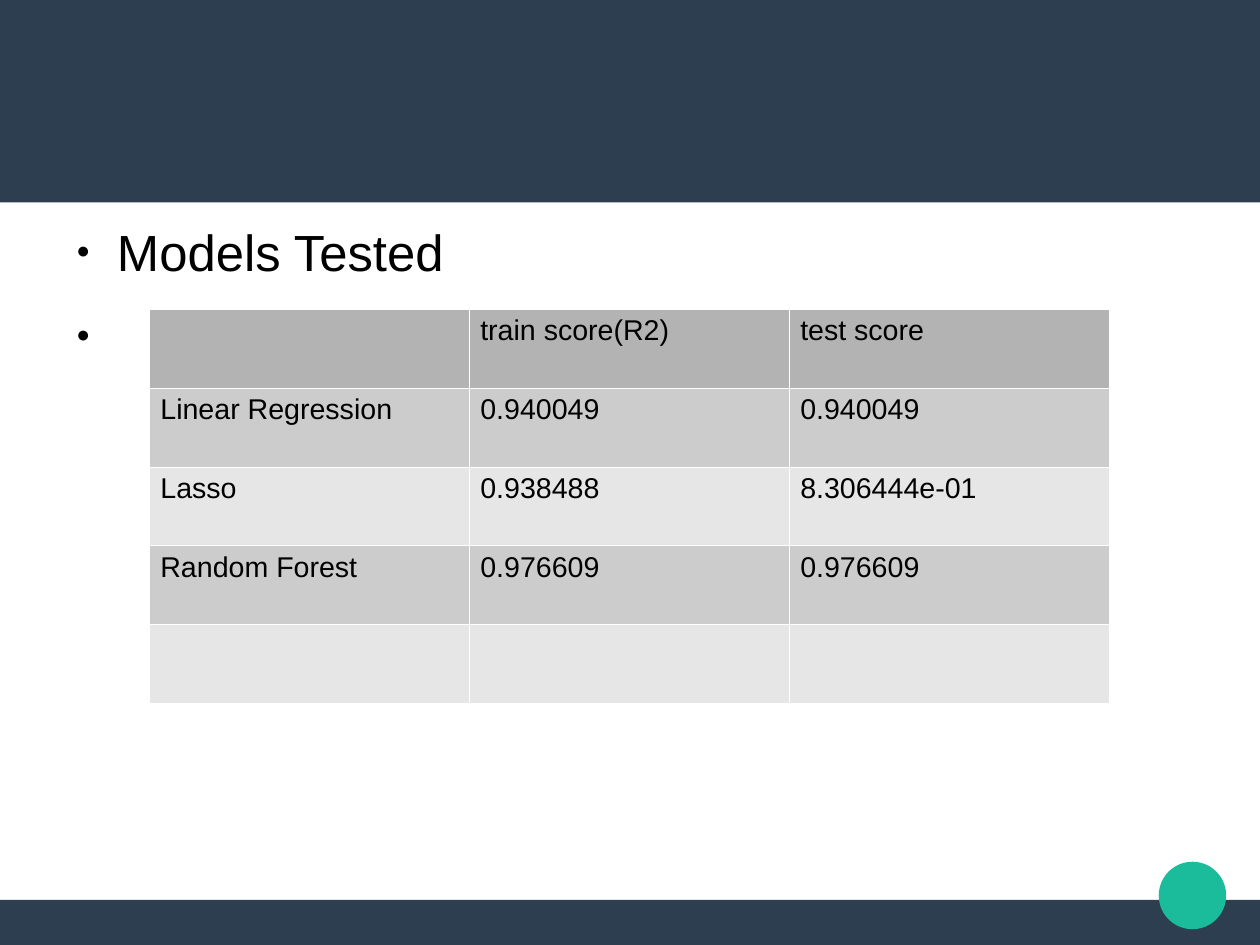
from typing import NamedTuple

from lxml.etree import SubElement
from pptx import Presentation
from pptx.dml.color import RGBColor
from pptx.enum.shapes import MSO_SHAPE as Preset
from pptx.enum.text import PP_ALIGN as Align
from pptx.oxml.ns import qn
from pptx.slide import Slide
from pptx.util import Cm, Pt

COLORS = {
    "navy": "2C3E50",
    "teal": "1ABC9C",
    "text": "000000",
    "border": "FFFFFF",
    "header": "B3B3B3",
    "odd": "CCCCCC",
    "even": "E6E6E6",
}
HEADING_SIZE, CELL_SIZE = 32, 18
COLUMN_WIDTH, ROW_HEIGHT = 7.11, 1.75
SCORES = [
    ("", "train score(R2)", "test score"),
    ("Linear Regression", "0.940049", "0.940049"),
    ("Lasso", "0.938488", "8.306444e-01"),
    ("Random Forest", "0.976609", "0.976609"),
    ("", "", ""),
]


class Decoration(NamedTuple):
    preset: Preset
    left: float
    top: float
    width: float
    height: float
    color: str


DECORATIONS = [
    Decoration(Preset.RECTANGLE, 0, 20, 28, 1, "navy"),
    Decoration(Preset.RECTANGLE, 0, 0, 28, 4.5, "navy"),
    Decoration(Preset.OVAL, 25.75, 19.15, 1.5, 1.5, "teal"),
]


def rgb(name: str) -> RGBColor:
    return RGBColor.from_string(COLORS[name])


def format_font(font, size: int) -> None:
    for attribute, value in {"name": "Arial", "size": Pt(size)}.items():
        setattr(font, attribute, value)
    font.color.rgb = rgb("text")


def draw_decoration(slide: Slide, part: Decoration) -> None:
    box = map(Cm, (part.left, part.top, part.width, part.height))
    shape = slide.shapes.add_shape(part.preset, *box)
    shape.shadow.inherit = False
    shape.fill.solid()
    shape.fill.fore_color.rgb = rgb(part.color)
    shape.line.fill.background()


def add_bullet(paragraph) -> None:
    """Give the paragraph a hanging indent and a small round bullet."""
    properties = paragraph._p.get_or_add_pPr()
    properties.set("marL", str(Cm(1.2)))
    properties.set("indent", str(-Cm(0.9)))
    bullet_color = SubElement(properties, qn("a:buClr"))
    SubElement(bullet_color, qn("a:srgbClr"), val=COLORS["text"])
    SubElement(properties, qn("a:buSzPct"), val="45000")
    SubElement(properties, qn("a:buFont"), typeface="Arial")
    SubElement(properties, qn("a:buChar"), char="●")


def draw_outline(slide: Slide, items: list[str]) -> None:
    outline = slide.shapes.add_textbox(Cm(1.4), Cm(4.9), Cm(25.2), Cm(12.18))
    frame = outline.text_frame
    frame.word_wrap = True
    for side in ("left", "top", "right", "bottom"):
        setattr(frame, f"margin_{side}", 0)
    frame.text = "\n".join(items)
    for paragraph in frame.paragraphs:
        paragraph.alignment = Align.LEFT
        paragraph.space_before = Pt(14.2)
        add_bullet(paragraph)
        format_font(paragraph.runs[0].font, HEADING_SIZE)


def add_borders(cell) -> None:
    properties = cell._tc.get_or_add_tcPr()
    for side in ("lnL", "lnR", "lnT", "lnB"):
        border = SubElement(properties, qn(f"a:{side}"), w=str(Pt(0.06)))
        fill = SubElement(border, qn("a:solidFill"))
        SubElement(fill, qn("a:srgbClr"), val=COLORS["border"])


def row_color(row: int) -> str:
    if row == 0:
        return "header"
    return "odd" if row % 2 else "even"


def draw_scores(slide: Slide) -> None:
    rows, columns = len(SCORES), len(SCORES[0])
    table = slide.shapes.add_table(
        rows, columns, Cm(3.31), Cm(6.87),
        Cm(columns * COLUMN_WIDTH), Cm(rows * ROW_HEIGHT),
    ).table
    table.first_row = table.horz_banding = False
    for row, values in enumerate(SCORES):
        for column, value in enumerate(values):
            cell = table.cell(row, column)
            cell.text = value
            format_font(cell.text_frame.paragraphs[0].font, CELL_SIZE)
            for run in cell.text_frame.paragraphs[0].runs:
                format_font(run.font, CELL_SIZE)
            add_borders(cell)
            cell.fill.solid()
            cell.fill.fore_color.rgb = rgb(row_color(row))


def main() -> None:
    deck = Presentation()
    deck.slide_width, deck.slide_height = Cm(28), Cm(21)
    slide = deck.slides.add_slide(deck.slide_layouts[6])
    for part in DECORATIONS:
        draw_decoration(slide, part)
    draw_outline(slide, ["Models Tested", " "])
    draw_scores(slide)
    deck.save("out.pptx")


if __name__ == "__main__":
    main()
